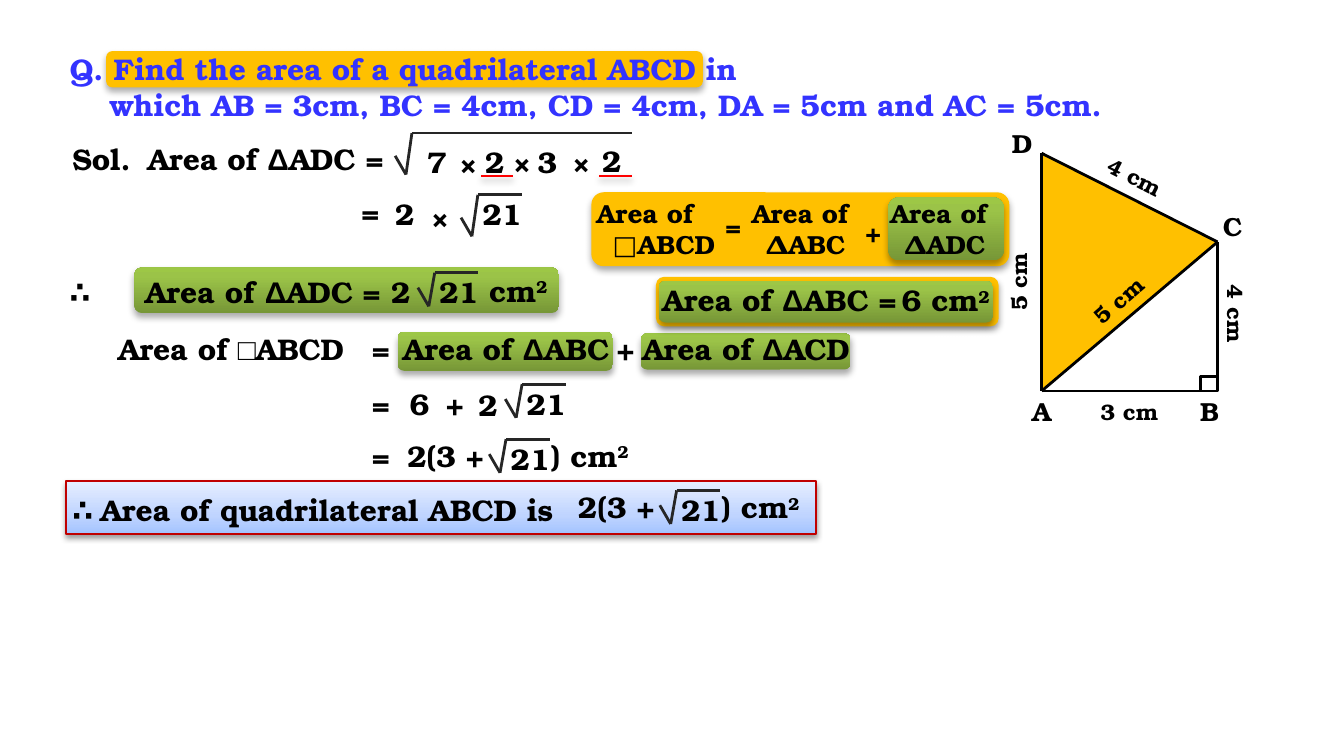
from pptx import Presentation
from pptx.dml.color import RGBColor
from pptx.enum.shapes import MSO_CONNECTOR, MSO_SHAPE
from pptx.enum.text import MSO_AUTO_SIZE
from pptx.oxml import parse_xml
from pptx.oxml.ns import nsdecls, qn
from pptx.util import Pt

COLORS = {
    "question": "3333FF", "ink": "000000", "root": "262626",
    "amber": "FFC000", "border": "C00000", "underline": "FF0000",
}
GRADIENTS = {
    "green": [(0, "779737"), (80, "9BC348"), (100, "9DC746")],
    "blue": [(0, "A4C4FF"), (35, "BFD4FF"), (100, "E6EEFF")],
}
SERIF = "TeX Gyre Bonum"
DELTA = ("Δ", "Arial", 0)
SQUARED = ("2", SERIF, 30)


class Board:
    """Holds the lesson style and the current page."""

    def __init__(self, page):
        self.shapes = page.shapes

    def color(self, name):
        return RGBColor.from_string(COLORS[name])

    def effects(self, item, shadow=None):
        properties = item._element.spPr
        effect_list = properties.find(qn("a:effectLst"))
        if effect_list is None:
            effect_list = parse_xml(f"<a:effectLst {nsdecls('a')}/>")
            properties.append(effect_list)
        if shadow:
            blur, distance, alpha = shadow
            effect_list.append(parse_xml(
                f'<a:outerShdw {nsdecls("a")} blurRad="{Pt(blur)}" dist="{Pt(distance)}" '
                f'dir="5400000" rotWithShape="0"><a:srgbClr val="000000">'
                f'<a:alpha val="{alpha * 1000}"/></a:srgbClr></a:outerShdw>'))

    def gradient(self, shape, name):
        shape.fill.gradient()
        shape.fill.gradient_angle = 90
        stops = shape._element.spPr.find(qn("a:gradFill")).find(qn("a:gsLst"))
        for stop in list(stops):
            stops.remove(stop)
        for position, value in GRADIENTS[name]:
            stops.append(parse_xml(
                f'<a:gs {nsdecls("a")} pos="{position * 1000}"><a:srgbClr val="{value}"/></a:gs>'))

    def panel(self, left, top, width, height, fill, border=None,
              kind=MSO_SHAPE.ROUNDED_RECTANGLE, shadow=(3.5, 2.2, 32)):
        shape = self.shapes.add_shape(kind, Pt(left), Pt(top), Pt(width), Pt(height))
        if fill in GRADIENTS:
            self.gradient(shape, fill)
        elif fill:
            shape.fill.solid()
            shape.fill.fore_color.rgb = self.color(fill)
        else:
            shape.fill.background()
        if border:
            name, weight = border
            shape.line.color.rgb = self.color(name)
            shape.line.width = Pt(weight)
        else:
            shape.line.fill.background()
        shape.shadow.inherit = False
        self.effects(shape, shadow)

    def polygon(self, points, fill):
        builder = self.shapes.build_freeform(Pt(points[0][0]), Pt(points[0][1]), scale=1.0)
        builder.add_line_segments([(Pt(x), Pt(y)) for x, y in points[1:]], close=True)
        shape = builder.convert_to_shape()
        shape.fill.solid()
        shape.fill.fore_color.rgb = self.color(fill)
        shape.line.fill.background()
        shape.shadow.inherit = False

    def line(self, start, end, color="ink", weight=1.5, shadow=None):
        ends = [Pt(value) for value in (*start, *end)]
        connector = self.shapes.add_connector(MSO_CONNECTOR.STRAIGHT, *ends)
        connector.line.color.rgb = self.color(color)
        connector.line.width = Pt(weight)
        self.effects(connector, shadow)

    def text(self, left, top, width, *lines, size=16, color="ink", indents=(0, 0),
             wrap=False, turn=0):
        height = 7.2 + 1.2 * size * len(lines)
        box = self.shapes.add_textbox(Pt(left), Pt(top), Pt(width), Pt(height))
        box.rotation = turn
        frame = box.text_frame
        frame.word_wrap = wrap
        frame.auto_size = MSO_AUTO_SIZE.SHAPE_TO_FIT_TEXT
        for index, (runs, indent) in enumerate(zip(lines, indents)):
            para = frame.add_paragraph() if index else frame.paragraphs[0]
            if indent:
                para._p.get_or_add_pPr().set("marL", str(Pt(indent)))
            for run in [runs] if isinstance(runs, str) else runs:
                words, font, raised = (run, SERIF, 0) if isinstance(run, str) else run
                span = para.add_run()
                span.text = words
                span.font.name = font
                span.font.size = Pt(size)
                span.font.bold = True
                span.font.color.rgb = self.color(color)
                if raised:
                    span._r.get_or_add_rPr().set("baseline", str(raised * 1000))

    def symbols(self, items):
        for words, left, top in items:
            self.text(left, top, 25, words)

    def radical(self, left, top, rise=8, length=23.4, radicand="21"):
        foot, apex = (left + 5.8, top + 10), (left + 9, top - rise)
        self.line((left, top), foot, "root")
        self.line(foot, apex, "root")
        self.line(apex, (apex[0] + length, apex[1]), "root")
        if radicand:
            self.text(left + 4.3, apex[1] - 2.9, 36, radicand)

    def result(self, left, top):
        self.text(left, top, 72, "2(3 +", wrap=True)
        self.radical(left + 51.1, top + 12.2)
        self.text(left + 77, top, 57.6, [") cm", SQUARED])


def draw_panels(board):
    """Draw the highlights from back to front."""
    board.panel(56.9, 27.4, 319.7, 19.4, "amber")
    board.panel(35.3, 257.8, 401.8, 28.1, "blue", ("border", 1), MSO_SHAPE.RECTANGLE, (3.1, 1.6, 38))
    for left, top, width, height, fill in [
        (72, 143.3, 227.5, 24.5, "green"), (343.4, 178.6, 112.3, 19.4, "green"),
        (213.1, 177.8, 115.2, 20.9, "green"), (351.4, 148.3, 183.6, 26.6, "amber"),
        (352.8, 150.5, 179.3, 22.3, "green"), (316.8, 103, 223.9, 39.6, "amber"),
        (475.9, 105.8, 61.9, 33.8, "green"),
    ]:
        board.panel(left, top, width, height, fill)


def draw_figure(board):
    """Draw the quadrilateral with its labels."""
    a, b, c, d = (558, 209.5), (652.3, 209.5), (652.3, 129.6), (558, 82.1)
    board.polygon([d, c, a], "amber")
    for start, end in [(d, a), (a, b), (a, c), (d, c), (b, c)]:
        board.line(start, end)
    board.panel(643, 201.6, 9.4, 7.9, None, ("ink", 1.5), MSO_SHAPE.RECTANGLE, None)
    for words, left, top, turn in [
        ("5 cm", 522.7, 139.7, 270), ("5 cm", 576.7, 149.8, 319), ("4 cm", 585.4, 84.2, 27),
        ("4 cm", 639.4, 157.7, 90), ("3 cm", 582.5, 209.5, 0),
    ]:
        board.text(left, top, 46.1, words, size=12, turn=turn)
    for words, left, top in [("A", 545.8, 208.1), ("B", 635.8, 208.1),
                             ("C", 648, 109.4), ("D", 535, 64.8)]:
        board.text(left, top, 25, words, size=14)


def draw_solution(board):
    """Write the question and the steps of the solution."""
    board.text(30.2, 23.8, 600, "Q. Find the area of a quadrilateral ABCD in",
               "which AB = 3cm, BC = 4cm, CD = 4cm, DA = 5cm and AC = 5cm.",
               color="question", indents=(0, 21.4), wrap=True)
    board.text(31.7, 72, 46.1, "Sol.")
    board.text(72, 72, 145.4, ["Area of ", DELTA, "ADC ="], wrap=True)
    board.radical(211.7, 83.5, 12.2, 117.7, None)
    board.symbols([
        ("7", 221.8, 73.4), ("×", 239, 74.2), ("2", 252.7, 73.4), ("×", 267.8, 73.4),
        ("3", 280.8, 73.4), ("×", 299.5, 73.4), ("2", 315.4, 72.7),
        ("=", 186.5, 100.1), ("2", 204.5, 101.5), ("×", 223.9, 103),
        ("=", 187.2, 143.3), ("2", 202.3, 143.3), ("=", 192.2, 173.5), ("+", 323.3, 173.5),
        ("=", 192.2, 203), ("6", 212.4, 203), ("+", 231.8, 203), ("2", 249.1, 203.8),
        ("=", 192.2, 231.1),
    ])
    for left in (257.8, 321.1):
        board.line((left, 94.3), (left + 17.3, 94.3), "underline", 1, (3.5, 2.2, 32))
    board.radical(247, 116.6, 12.2)
    board.text(30.2, 143.3, 27.4, [("∴", "Lato", 0)])
    board.text(70.6, 143.3, 133.2, ["Area of ", DELTA, "ADC"])
    board.radical(223.9, 154.1)
    board.text(254.9, 142.6, 46.8, ["cm", SQUARED])
    board.text(56.2, 173.5, 141.8, ["Area of ", ("□", "Arial", 0), "ABCD"])
    board.text(208.8, 173.5, 133.2, ["Area of ", DELTA, "ABC"])
    board.text(337, 173.5, 133.2, ["Area of ", DELTA, "ACD"])
    board.radical(270.7, 213.8)
    board.result(211, 231.1)
    board.text(31.7, 259.9, 281.5, [("∴ ", "Lato", 0), "Area of quadrilateral ABCD is"])
    board.result(302.4, 258.5)


def draw_formula(board):
    """Write the sum of areas and the known area."""
    for left, width, name, indents in [
        (303.8, 97.9, [("□", "Comic Neue", 0), "ABCD"], (8.8, 17.4)),
        (390.2, 82.8, "ΔABC", (5.5, 13)), (464.4, 82.8, "ΔADC", (5.5, 13)),
    ]:
        board.text(left, 102.2, width, "Area of", name, size=14, indents=indents, wrap=True)
    for words, left, top in [("=", 381.6, 109.4), ("+", 456.5, 112.3)]:
        board.text(left, top, 26.6, words, size=14, wrap=True)
    board.text(347.8, 147.6, 162, ["Area of ", DELTA, "ABC ="], wrap=True)
    board.text(475.9, 147.6, 67.7, ["6 cm", SQUARED], wrap=True)


def main():
    """Build the one-page deck."""
    deck = Presentation()
    deck.slide_width, deck.slide_height = Pt(720), Pt(405)
    board = Board(deck.slides.add_slide(deck.slide_layouts[6]))
    for draw in (draw_panels, draw_figure, draw_solution, draw_formula):
        draw(board)
    deck.save("out.pptx")


if __name__ == "__main__":
    main()
